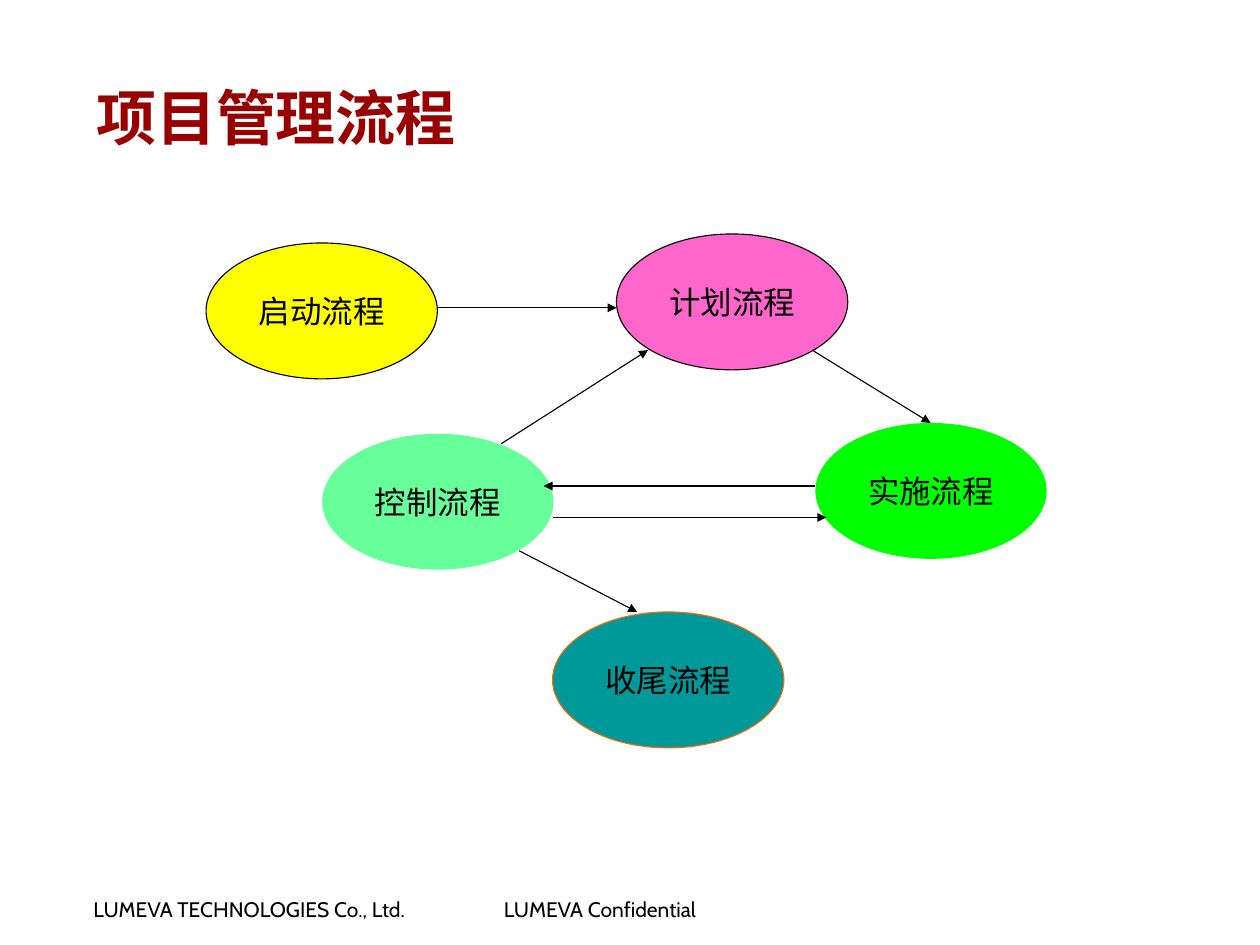
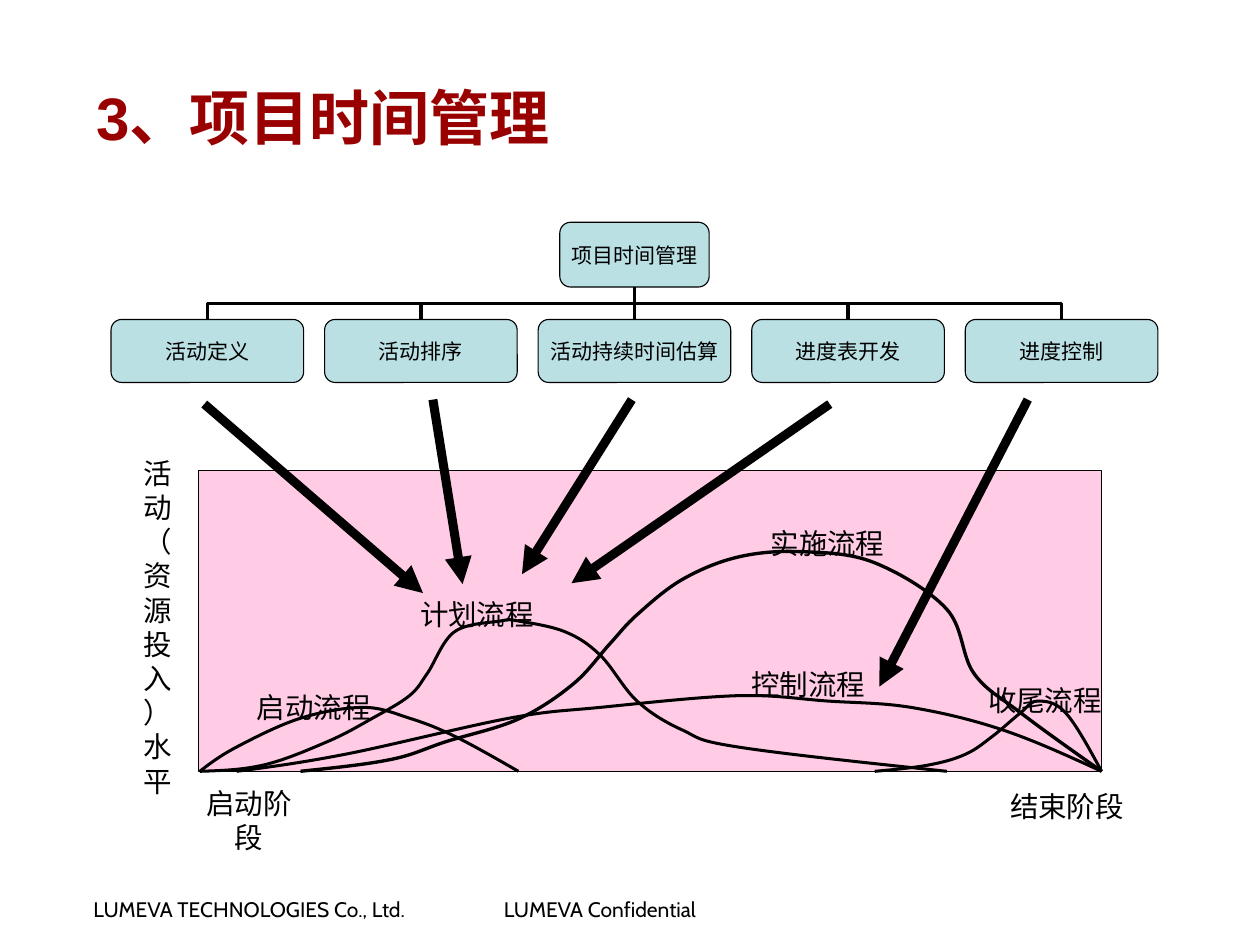
from dataclasses import dataclass
from typing import NamedTuple, Optional, Sequence

from lxml.etree import SubElement
from pptx import Presentation
from pptx.dml.color import RGBColor
from pptx.enum.shapes import MSO_CONNECTOR as Link, MSO_SHAPE as Preset
from pptx.enum.text import MSO_ANCHOR as Anchor, PP_ALIGN as Align
from pptx.oxml.ns import qn
from pptx.util import Emu, Inches, Pt

COLUMNS, ROWS = 140, 105
CELL = Inches(1) / 12


@dataclass(frozen=True)
class Theme:
    ink: str = "000000"
    title: str = "990000"
    node: str = "BBE0E3"
    plot: str = "FF99CC"
    plot_alpha: int = 50
    body_font: str = "Arial"
    footer_font: str = "Cabin"
    label_font: str = "DejaVu Sans"
    title_size: float = 40
    oval_size: float = 21
    label_size: float = 19
    small_size: float = 14
    thin: float = 0.75
    curve: float = 2
    tree: float = 2.25
    heavy: float = 6


class Area(NamedTuple):
    """A rectangle in grid cells."""
    column: float
    row: float
    columns: float
    rows: float


class Point(NamedTuple):
    column: float
    row: float


class Style(NamedTuple):
    font: str
    size: float
    color: str
    bold: bool = False
    align: Align = Align.CENTER
    anchor: Anchor = Anchor.MIDDLE
    inset: tuple[float, float] = (0.1, 0.05)
    before: float = 0
    wrap: bool = False


class Oval(NamedTuple):
    text: str
    column: float
    row: float
    fill: str
    line: Optional[str] = None


class Label(NamedTuple):
    text: str
    area: Area


class Arrow(NamedTuple):
    start: Point
    end: Point


class Curve(NamedTuple):
    knots: Sequence[tuple[float, float]]
    width: float


THEME = Theme()
TITLE = Style(THEME.body_font, THEME.title_size, THEME.title, bold=True, align=Align.LEFT, wrap=True)
FOOTER = Style(THEME.footer_font, THEME.small_size, THEME.ink, align=Align.LEFT, anchor=Anchor.TOP)
OVAL = Style(THEME.body_font, THEME.oval_size, THEME.ink, inset=(0.12, 0.06))
NODE = Style(THEME.body_font, THEME.small_size, THEME.ink, inset=(0.08, 0.04), before=3.5)
LABEL = Style(THEME.label_font, THEME.label_size, THEME.ink, anchor=Anchor.TOP,
              inset=(0.12, 0.06), before=4.8)
AXIS = LABEL._replace(anchor=Anchor.MIDDLE, inset=(0.11, 0.06), wrap=True)

TITLE_AREA = Area(9.5, 4.2, 123.5, 17.5)
FOOTERS = (
    Label("LUMEVA TECHNOLOGIES Co., Ltd.", Area(9.2, 99, 40.6, 4)),
    Label("LUMEVA Confidential", Area(54.8, 99, 27.2, 4)),
)

OVAL_COLUMNS, OVAL_ROWS = 25.7, 15.1
OVALS = (
    Oval("启动流程", 22.9, 27, "FFFF00", THEME.ink),
    Oval("计划流程", 68.5, 26, "FF66CC", THEME.ink),
    Oval("控制流程", 35.8, 48.2, "66FF99"),
    Oval("实施流程", 90.6, 47, "00FF00"),
    Oval("收尾流程", 61.4, 68, "009999", "FF6600"),
)
FLOW_ARROWS = (
    Arrow(Point(48.6, 34.2), Point(68.5, 34.2)),
    Arrow(Point(55.7, 49.3), Point(72, 38.9)),
    Arrow(Point(61.4, 57.5), Point(91.8, 57.5)),
    Arrow(Point(90.6, 54), Point(60.4, 54)),
    Arrow(Point(90.4, 39), Point(103.4, 47)),
    Arrow(Point(57.7, 61.2), Point(70.8, 68)),
)

ROOT = Label("项目时间管理", Area(62.2, 24.7, 16.6, 7.2))
ACTIVITIES = ("活动定义", "活动排序", "活动持续时间估算", "进度表开发", "进度控制")
ACTIVITY_PITCH = 23.73
ACTIVITY_COLUMNS, ACTIVITY_ROWS, ACTIVITY_TOP = 21.4, 7, 35.5

PLOT = Area(22.1, 52.3, 100.3, 33.4)
BASE = PLOT.row + PLOT.rows
RIGHT = PLOT.column + PLOT.columns
CURVES = (
    Curve(((22.2, BASE), (26.3, 83), (33.4, 79.8), (40.4, 78.6), (45.5, 79.8),
           (50.5, 81.8), (57.6, BASE)), THEME.curve),
    Curve(((22.2, BASE), (29.3, 85), (36.4, 82.4), (41.4, 79.8), (45.5, 77.3),
           (47.5, 74.8), (50.5, 70.2), (55.6, 69), (57.6, 69), (62.8, 70.2),
           (66.7, 72.8), (70.8, 77.9), (75.8, 81.1), (82, 83), (105.2, BASE)), THEME.curve),
    Curve(((33.4, BASE), (43.4, 84.4), (49.6, 82.4), (57.6, 79.9), (63.7, 76),
           (67.8, 71.5), (70.8, 68.3), (75.8, 64.4), (82, 61.9), (89, 61.3),
           (97.1, 62.5), (105.2, 67.7), (108.2, 74.8), (113.4, 79.2), (RIGHT, BASE)), THEME.tree),
    Curve(((26.3, BASE), (38.4, 83.8), (56.6, 79.8), (66.7, 78.6), (82, 77.3),
           (92, 77.9), (101.2, 78.6), (111.4, 81.1), (RIGHT, BASE)), THEME.curve),
    Curve(((97.2, BASE), (103.2, 85), (107.3, 83.8), (110.3, 81.8), (113.4, 79.2),
           (115.3, 77.9), (118.4, 79.2), (RIGHT, BASE)), THEME.curve),
)
AXIS_LABEL = Label("活动（资源投入）水平", Area(14.3, 49.9, 6.5, 39.5))
PLOT_LABELS = (
    Label("启动阶段", Area(19.9, 86.6, 15.5, 5.2)),
    Label("启动流程", Area(23.2, 76, 23.3, 5.2)),
    Label("计划流程", Area(40.8, 65.6, 24.4, 5.2)),
    Label("实施流程", Area(79.3, 57.7, 25.3, 5.2)),
    Label("控制流程", Area(76.1, 73.4, 27.4, 5.2)),
    Label("收尾流程", Area(106.9, 75.2, 18.4, 5.2)),
    Label("结束阶段", Area(109.6, 87, 17.9, 5.2)),
)
PHASE_ARROWS = (
    Arrow(Point(48.1, 44.4), Point(51.4, 64.9)),
    Arrow(Point(70.2, 44.4), Point(58, 63.8)),
    Arrow(Point(114.2, 44.4), Point(97.7, 76.3)),
    Arrow(Point(22.7, 44.9), Point(47, 65.9)),
    Arrow(Point(92.2, 44.9), Point(63.5, 64.8)),
)


def cells(*counts: float) -> list[Emu]:
    return [Emu(round(count * CELL)) for count in counts]


def rgb(color: str) -> RGBColor:
    return RGBColor.from_string(color)


def write(shape, text: str, style: Style) -> None:
    frame = shape.text_frame
    frame.word_wrap = style.wrap
    frame.vertical_anchor = style.anchor
    frame.margin_left = frame.margin_right = Inches(style.inset[0])
    frame.margin_top = frame.margin_bottom = Inches(style.inset[1])
    para = frame.paragraphs[0]
    para.alignment = style.align
    para.space_before = Pt(style.before)
    span = para.add_run()
    span.text = text
    span.font.name = style.font
    span.font.size = Pt(style.size)
    span.font.bold = style.bold
    span.font.color.rgb = rgb(style.color)


def add_label(page, label: Label, style: Style) -> None:
    write(page.shapes.add_textbox(*cells(*label.area)), label.text, style)


def add_box(page, preset: Preset, area: Area, fill: str, line: Optional[str] = THEME.ink):
    box = page.shapes.add_shape(preset, *cells(*area))
    box.shadow.inherit = False
    box.fill.solid()
    box.fill.fore_color.rgb = rgb(fill)
    if line:
        box.line.color.rgb = rgb(line)
        box.line.width = Pt(THEME.thin)
    else:
        box.line.fill.background()
    return box


def add_link(page, kind: Link, start: Point, end: Point, width: float):
    link = page.shapes.add_connector(kind, *cells(*start, *end))
    link.line.color.rgb = rgb(THEME.ink)
    link.line.width = Pt(width)
    SubElement(link._element.spPr, qn("a:effectLst"))
    return link


def add_arrow(page, arrow: Arrow, width: float) -> None:
    link = add_link(page, Link.STRAIGHT, arrow.start, arrow.end, width)
    SubElement(link._element.spPr.find(qn("a:ln")), qn("a:tailEnd"), type="triangle")


def add_branch(page, child, parent) -> None:
    """Join a child's top to its parent's bottom with an elbow that leaves vertically."""
    link = add_link(page, Link.ELBOW, Point(0, 0), Point(1, 1), THEME.tree)
    link.begin_connect(child, 0)
    link.end_connect(parent, 2)
    start_x, start_y, end_x, end_y = link.begin_x, link.begin_y, link.end_x, link.end_y
    rise, reach = start_y - end_y, abs(start_x - end_x)
    to_left = start_x > end_x
    link.left = Emu((start_x + end_x - rise) // 2)
    link.top = Emu((start_y + end_y - reach) // 2)
    link.width, link.height = Emu(rise), Emu(reach)
    frame = link._element.spPr.find(qn("a:xfrm"))
    frame.set("rot", str((270 if to_left else 90) * 60000))
    frame.set("flipH", "0" if to_left else "1")
    frame.set("flipV", "1")


def bezier_points(knots: Sequence[tuple[float, float]]) -> list[tuple[float, float]]:
    """Two handles and an end for each stretch; handles follow the neighbouring knots."""
    def handle(index: int, sign: int) -> tuple[float, float]:
        (x, y), before, after = knots[index], knots[index - 1], knots[index + 1]
        return x + sign * (after[0] - before[0]) / 6, y + sign * (after[1] - before[1]) / 6

    def middle(a: tuple[float, float], b: tuple[float, float]) -> tuple[float, float]:
        return (a[0] + b[0]) / 2, (a[1] + b[1]) / 2

    points, last = [], len(knots) - 1
    for index in range(last):
        leaving = handle(index, 1) if index else middle(knots[0], handle(1, -1))
        arriving = handle(index + 1, -1) if index + 1 < last else middle(leaving, knots[last])
        points += [leaving, arriving, knots[index + 1]]
    return points


def add_curve(page, curve: Curve) -> None:
    builder = page.shapes.build_freeform(*cells(*curve.knots[0]))
    builder.add_line_segments([cells(*point) for point in bezier_points(curve.knots)], close=False)
    shape = builder.convert_to_shape()
    shape.shadow.inherit = False
    shape.fill.background()
    shape.line.color.rgb = rgb(THEME.ink)
    shape.line.width = Pt(curve.width)
    outline = next(shape._element.iter(qn("a:path")))
    segments = outline.findall(qn("a:lnTo"))
    for first in range(0, len(segments), 3):
        bend = SubElement(outline, qn("a:cubicBezTo"))
        for segment in segments[first:first + 3]:
            bend.append(segment[0])
            outline.remove(segment)


def add_page(deck, title: str):
    page = deck.slides.add_slide(deck.slide_layouts[6])
    for footer in FOOTERS:
        add_label(page, footer, FOOTER)
    add_label(page, Label(title, TITLE_AREA), TITLE)
    return page


def build_process_page(deck) -> None:
    page = add_page(deck, "项目管理流程")
    for oval in OVALS:
        area = Area(oval.column, oval.row, OVAL_COLUMNS, OVAL_ROWS)
        write(add_box(page, Preset.OVAL, area, oval.fill, oval.line), oval.text, OVAL)
    for arrow in FLOW_ARROWS:
        add_arrow(page, arrow, THEME.thin)


def add_tree(page) -> None:
    root = add_box(page, Preset.ROUNDED_RECTANGLE, ROOT.area, THEME.node)
    write(root, ROOT.text, NODE)
    center = ROOT.area.column + ROOT.area.columns / 2
    for index, text in enumerate(ACTIVITIES):
        offset = (index - (len(ACTIVITIES) - 1) / 2) * ACTIVITY_PITCH
        area = Area(center + offset - ACTIVITY_COLUMNS / 2, ACTIVITY_TOP, ACTIVITY_COLUMNS, ACTIVITY_ROWS)
        activity = add_box(page, Preset.ROUNDED_RECTANGLE, area, THEME.node)
        write(activity, text, NODE)
        add_branch(page, activity, root)


def build_time_page(deck) -> None:
    page = add_page(deck, "3、项目时间管理")
    add_tree(page)
    plot = add_box(page, Preset.RECTANGLE, PLOT, THEME.plot)
    tint = next(plot._element.spPr.find(qn("a:solidFill")).iter(qn("a:srgbClr")))
    SubElement(tint, qn("a:alpha"), val=str(THEME.plot_alpha * 1000))
    for curve in CURVES:
        add_curve(page, curve)
    for label in PLOT_LABELS:
        add_label(page, label, LABEL)
    add_label(page, AXIS_LABEL, AXIS)
    for arrow in PHASE_ARROWS:
        add_arrow(page, arrow, THEME.heavy)


def main() -> None:
    deck = Presentation()
    deck.slide_width, deck.slide_height = cells(COLUMNS, ROWS)
    build_process_page(deck)
    build_time_page(deck)
    deck.save("out.pptx")


if __name__ == "__main__":
    main()
